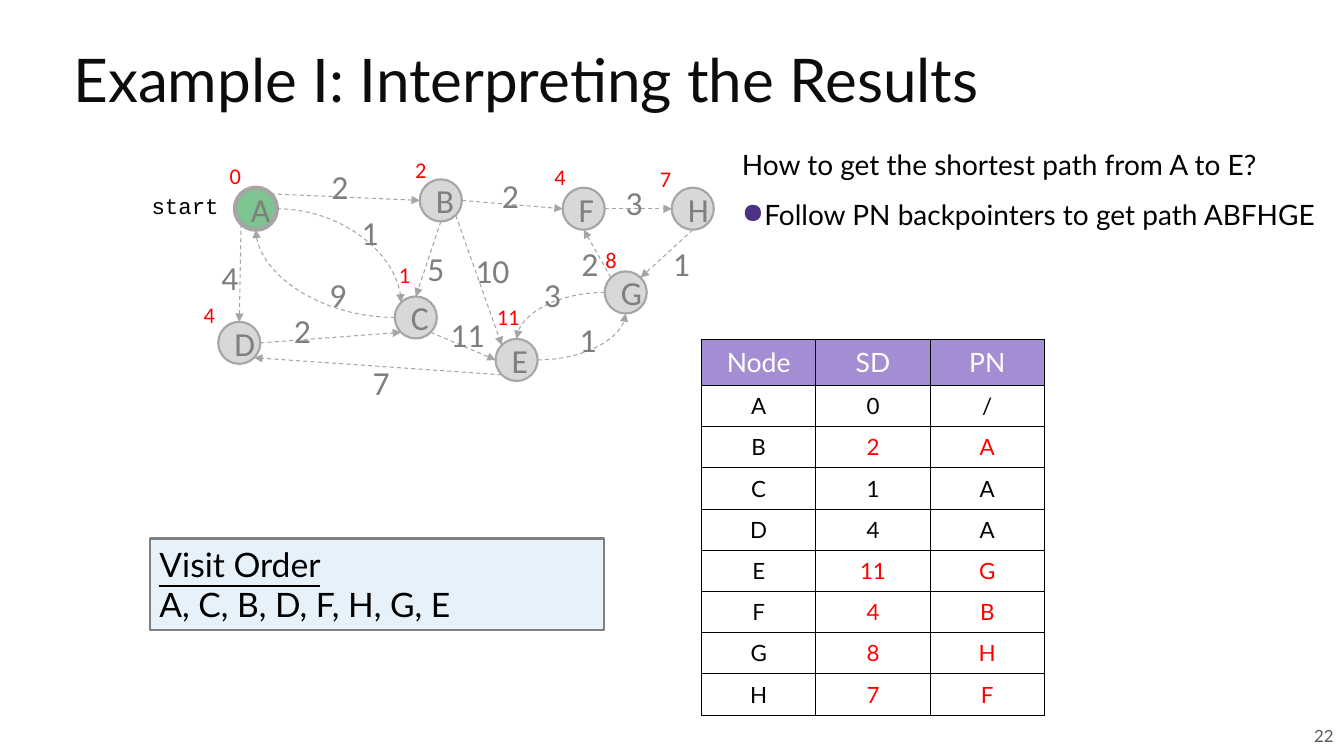
import math
import pptx
import pptx.util
import pptx.dml.color
import pptx.enum.dml
import pptx.enum.shapes
import pptx.enum.text
import pptx.oxml
import pptx.oxml.ns

Cm, Pt = pptx.util.Cm, pptx.util.Pt
ALIGN, ANCHOR = pptx.enum.text.PP_ALIGN, pptx.enum.text.MSO_ANCHOR
SHAPE, CONNECTOR = pptx.enum.shapes.MSO_SHAPE, pptx.enum.shapes.MSO_CONNECTOR
qn = pptx.oxml.ns.qn

# Content (lengths in cm)
COLORS = {"title": "0C0C0C", "text": "000000", "red": "FF0000", "grey": "7F7F7F",
          "line": "A5A5A5", "node": "D8D8D8", "start": "7DC491", "bullet": "4C3282",
          "header": "A48DD3", "white": "FFFFFF", "order": "E7F1FA", "page": "595959"}
TITLE = "Example I: Interpreting the Results"
QUESTION = "How to get the shortest path from A to E?"
ANSWER = "Follow PN backpointers to get path ABFHGE"
VISIT_ORDER = ["Visit Order", "A, C, B, D, F, H, G, E"]
PAGE = "22"

# node: centre, left and top of its distance label, shortest distance, previous node
NODES = {
    "A": ((6.45, 5.26), (5.54, 3.96), "0", "/"),
    "B": ((11.11, 5.05), (10.21, 3.81), "2", "A"),
    "C": ((10.48, 8), (9.8, 6.45), "1", "A"),
    "D": ((6.03, 8.64), (4.88, 7.47), "4", "A"),
    "E": ((13.02, 9.07), (12.27, 7.52), "11", "G"),
    "F": ((14.71, 5.26), (13.72, 3.99), "4", "B"),
    "G": ((15.77, 7.37), (15.01, 6.07), "8", "H"),
    "H": ((17.46, 5.26), (16.38, 4.04), "7", "F"),
}
RED_NODES = "BEFGH"
START = "A"

# from node and side, to node and side, weight, left and top of the weight
CURVES = [
    ("A", "E", "C", "NW", "1", (8.86, 5.21)),
    ("C", "W", "A", "S", "9", (8.05, 6.78)),
    ("G", "W", "E", "N", "3", (13.46, 6.76)),
    ("E", "E", "G", "S", "1", (14.35, 7.9)),
]
STRAIGHTS = [
    ("A", "SW", "D", "N", "4", (5.33, 6.35)),
    ("D", "E", "C", "SW", "2", (7.16, 7.67)),
    ("A", "NE", "B", "W", "2", (8.1, 4.06)),
    ("B", "E", "F", "W", "2", (12.4, 4.27)),
    ("F", "E", "H", "W", "3", (15.52, 4.45)),
    ("G", "NW", "F", "S", "2", (14.4, 5.99)),
    ("H", "S", "G", "NE", "1", (16.71, 5.99)),
    ("B", "SE", "E", "NW", "10", (11.73, 6.17)),
    ("B", "S", "C", "N", "5", (10.52, 6.12)),
    ("C", "SE", "E", "W", "11", (11.1, 7.77)),
    ("E", "SW", "D", "SE", "7", (9.14, 8.99)),
]
SIDES = ["E", "SE", "S", "SW", "W", "NW", "N", "NE"]
DIAMETER = 1.06


def rgb(name):
    return pptx.dml.color.RGBColor.from_string(COLORS[name])


def write(p, text, size=24, font="Calibri", color="grey", align=ALIGN.LEFT,
          underline=None, spacing=None):
    r = p.add_run()
    r.text = text
    r.font.size, r.font.name, r.font.underline = Pt(size), font, underline
    r.font.color.rgb = rgb(color)
    p.alignment = align
    if spacing:
        p.line_spacing = spacing


def set_frame(frame, across=0.25, down=0.13, anchor=ANCHOR.TOP):
    frame.margin_left = frame.margin_right = Cm(across)
    frame.margin_top = frame.margin_bottom = Cm(down)
    frame.vertical_anchor = anchor


def add_text(left, top, width, height, **frame):
    tf = s.shapes.add_textbox(Cm(left), Cm(top), Cm(width), Cm(height)).text_frame
    tf.word_wrap = True
    set_frame(tf, **frame)
    return tf


def add_box(kind, left, top, width, height, fill, line, weight, **frame):
    sp = s.shapes.add_shape(kind, Cm(left), Cm(top), Cm(width), Cm(height))
    sp.shadow.inherit = False
    sp.fill.solid()
    sp.fill.fore_color.rgb = rgb(fill)
    sp.line.color.rgb, sp.line.width = rgb(line), Pt(weight)
    set_frame(sp.text_frame, **frame)
    return sp.text_frame


def add_element(parent, tag, **attributes):
    child = parent.makeelement(qn(tag), attributes)
    parent.append(child)
    return child


def rim(node, side):
    x, y = NODES[node][0]
    angle = SIDES.index(side) * math.pi / 4
    return (Cm(x + DIAMETER / 2 * math.cos(angle)), Cm(y + DIAMETER / 2 * math.sin(angle)))


def add_edge(kind, source, source_side, target, target_side):
    c = s.shapes.add_connector(kind, *rim(source, source_side), *rim(target, target_side))
    c.line.color.rgb, c.line.width = rgb("line"), Pt(0.75)
    c.line.dash_style = pptx.enum.dml.MSO_LINE.DASH
    props = c.element.spPr
    add_element(props.find(qn("a:ln")), "a:tailEnd", type="triangle")
    add_element(props, "a:effectLst")
    if kind == CONNECTOR.CURVE:
        props.find(qn("a:prstGeom")).set("prst", "curvedConnector2")


prs = pptx.Presentation()
prs.slide_width, prs.slide_height = Cm(33.87), Cm(19.05)
s = prs.slides.add_slide(prs.slide_layouts[5])

# Title and page number
title = s.shapes.title
title.left, title.top, title.width, title.height = Cm(1.6), Cm(0.74), Cm(31.06), Cm(2.82)
set_frame(title.text_frame, anchor=ANCHOR.MIDDLE)
write(title.text_frame.paragraphs[0], TITLE, size=43, font="Lato", color="title", spacing=0.8)
tf = add_text(21.97, 18.03, 11.89, 1.02, down=0.25, anchor=ANCHOR.MIDDLE)
write(tf.paragraphs[0], PAGE, size=12, font="Lato", color="page", align=ALIGN.RIGHT)

# Question and answer
tf = add_text(18.57, 3.68, 14.8, 4.19, across=0.13)
write(tf.paragraphs[0], QUESTION, size=20, font="Lato", color="text", spacing=0.9)
p = tf.add_paragraph()
write(p, ANSWER, size=20, font="Lato", color="text", spacing=0.9)
p.space_before = Pt(14)
pPr = p._p.get_or_add_pPr()
pPr.set("marL", str(Cm(0.25)))
pPr.set("indent", str(-Cm(0.28)))
add_element(add_element(pPr, "a:buClr"), "a:srgbClr", val=COLORS["bullet"])
add_element(pPr, "a:buChar", char="●")

# Visit order
tf = add_box(SHAPE.RECTANGLE, 3.77, 13.57, 11.46, 2.31, "order", "grey", 1.5)
heading, order = VISIT_ORDER
write(tf.paragraphs[0], heading, font="Lato", color="text", underline=True)
write(tf.add_paragraph(), order, font="Lato", color="text")

# Graph nodes
for name, ((x, y), _, _, _) in NODES.items():
    fill, weight = ("start", 3) if name == START else ("node", 1.5)
    tf = add_box(SHAPE.OVAL, x - DIAMETER / 2, y - DIAMETER / 2, DIAMETER, DIAMETER,
                 fill, "line", weight, anchor=ANCHOR.MIDDLE)
    write(tf.paragraphs[0], name, align=ALIGN.CENTER)

# Graph edges with weights
for kind, edges in ((CONNECTOR.CURVE, CURVES), (CONNECTOR.STRAIGHT, STRAIGHTS)):
    for *ends, weight, (left, top) in edges:
        add_edge(kind, *ends)
        tf = add_text(left, top, 0.5 + 0.45 * len(weight), 1.27)
        write(tf.paragraphs[0], weight)

# Distance labels and start label
for _, (left, top), distance, _ in NODES.values():
    tf = add_text(left, top, 0.52 + 0.3 * len(distance), 0.94)
    write(tf.paragraphs[0], distance, size=16, color="red")
tf = add_text(3.15, 4.52, 2.69, 1.32, across=0.33, down=0.33)
write(tf.paragraphs[0], "start", size=16, font="Courier New", color="text", align=ALIGN.RIGHT)

# Results table
rows = [("Node", "SD", "PN")] + [(n, sd, pn) for n, (_, _, sd, pn) in NODES.items()]
table = s.shapes.add_table(len(rows), 3, Cm(17.68), Cm(8.55), Cm(8.64), Cm(9.34)).table
table.first_row = table.horz_banding = False
for column in table.columns:
    column.width = Cm(2.88)
for i, row in enumerate(rows):
    table.rows[i].height = Cm(1.02 if i else 1.16)
    for j, value in enumerate(row):
        cell = table.cell(i, j)
        set_frame(cell, across=0.18, down=0.18, anchor=ANCHOR.MIDDLE)
        color = "red" if j and row[0] in RED_NODES else "text"
        write(cell.text_frame.paragraphs[0], value, size=16 if i else 19, font="Lato",
              color=color if i else "white", align=ALIGN.CENTER)
        tcPr = cell._tc.get_or_add_tcPr()
        for side in ("a:lnL", "a:lnR", "a:lnT", "a:lnB"):
            border = add_element(tcPr, side, w=str(Pt(0.75)))
            add_element(add_element(border, "a:solidFill"), "a:srgbClr", val=COLORS["text"])
        if i:
            cell.fill.background()
        else:
            cell.fill.solid()
            cell.fill.fore_color.rgb = rgb("header")

prs.save("out.pptx")
